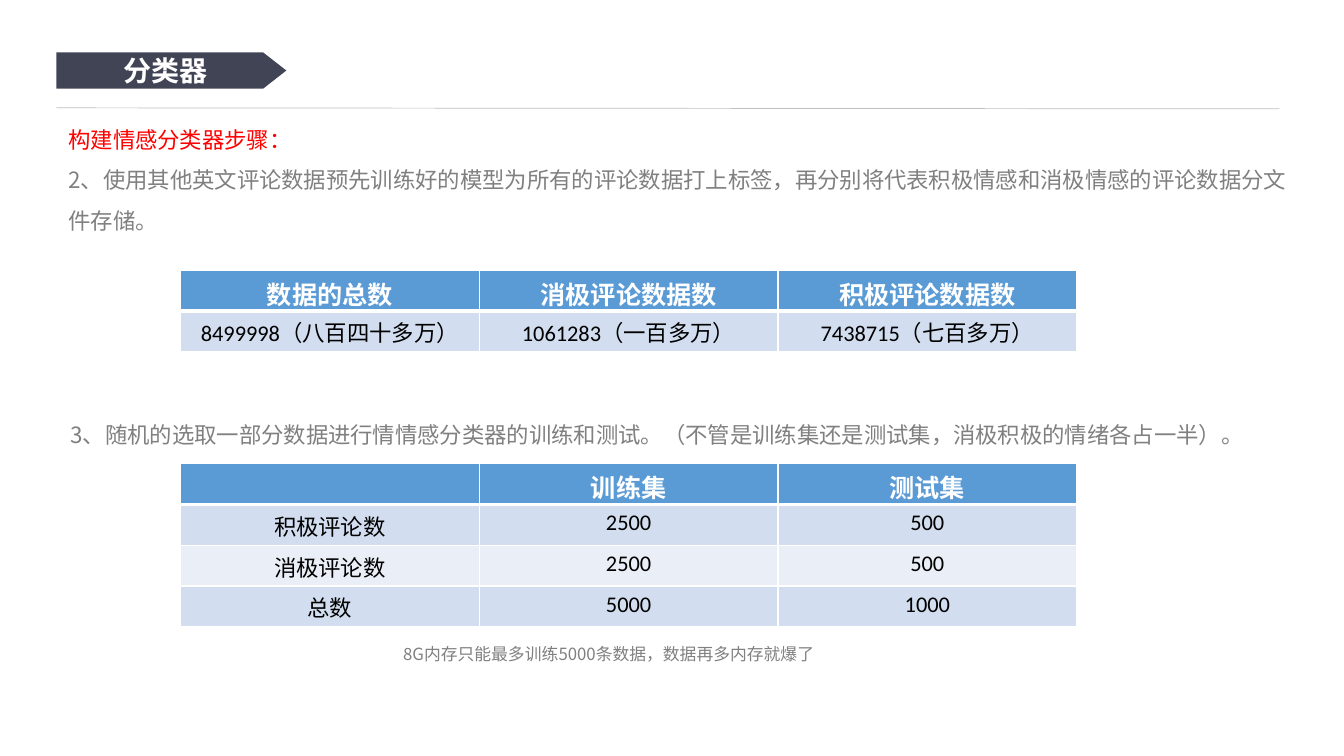
import pptx
import pptx.util
import pptx.oxml
import pptx.oxml.ns
import pptx.dml.color
import pptx.enum.shapes
import pptx.enum.text

Inches, Pt = pptx.util.Inches, pptx.util.Pt
RGBColor = pptx.dml.color.RGBColor
qn = pptx.oxml.ns.qn
PP_ALIGN = pptx.enum.text.PP_ALIGN
MSO_ANCHOR = pptx.enum.text.MSO_ANCHOR
MSO_AUTO_SIZE = pptx.enum.text.MSO_AUTO_SIZE

TITLE = "分类器"
NOTES = [
    ((0.58, 1.07, 12.45, 1.27), 16, [
        ("构建情感分类器步骤：", True),
        ("2、使用其他英文评论数据预先训练好的模型为所有的评论数据打上标签，再分别将代表积极情感和消极情感的评论数据分文件存储。", False),
    ]),
    ((0.6, 4, 12.45, 0.46), 16, [
        ("3、随机的选取一部分数据进行情情感分类器的训练和测试。（不管是训练集还是测试集，消极积极的情绪各占一半）。", False),
    ]),
    ((3.9, 6.24, 6.09, 0.37), 12, [
        ("8G内存只能最多训练5000条数据，数据再多内存就爆了", False),
    ]),
]
TABLES = [
    (2.68, [
        ("数据的总数", "消极评论数据数", "积极评论数据数"),
        ("8499998（八百四十多万）", "1061283（一百多万）", "7438715（七百多万）"),
    ]),
    (4.6, [
        ("", "训练集", "测试集"),
        ("积极评论数", "2500", "500"),
        ("消极评论数", "2500", "500"),
        ("总数", "5000", "1000"),
    ]),
]
TABLE_LEFT, TABLE_WIDTH, TWO_ROWS = 1.79, 8.89, 0.81

SANS, TABLE_FONT = "Noto Sans CJK SC", "Calibri"
WHITE = RGBColor(0xFF, 0xFF, 0xFF)
BLACK = RGBColor(0, 0, 0)
RED = RGBColor(0xFF, 0, 0)
GRAY = RGBColor(0x80, 0x80, 0x80)
RULE = RGBColor(0xBF, 0xBF, 0xBF)
SLATE = RGBColor(0x41, 0x44, 0x55)
HEADER = RGBColor(0x5B, 0x9B, 0xD5)
BANDS = RGBColor(0xEA, 0xEF, 0xF7), RGBColor(0xD2, 0xDE, 0xEF)


def add_run(p, text, size, font, color, bold=False):
    r = p.add_run()
    r.text = text
    r.font.size, r.font.name, r.font.bold = Pt(size), font, bold
    r.font.color.rgb = color
    if font == SANS:
        ea = pptx.oxml.parse_xml(f'<a:ea {pptx.oxml.ns.nsdecls("a")} typeface="{font}"/>')
        r.font._element.find(qn("a:latin")).addnext(ea)


def add_borders(cell, bottom):
    tc_pr = cell._tc.get_or_add_tcPr()
    for i, (side, width) in enumerate((("L", 1), ("R", 1), ("T", 1), ("B", bottom))):
        tc_pr.insert(i, pptx.oxml.parse_xml(
            f'<a:ln{side} {pptx.oxml.ns.nsdecls("a")} w="{Pt(width)}">'
            f'<a:solidFill><a:srgbClr val="{WHITE}"/></a:solidFill></a:ln{side}>'))


def add_heading(s):
    plate = s.shapes.add_shape(pptx.enum.shapes.MSO_SHAPE.PENTAGON,
                               Inches(0.56), Inches(0.52), Inches(2.28), Inches(0.36))
    plate.adjustments[0] = 0.64
    plate.shadow.inherit = False
    plate.fill.solid()
    plate.fill.fore_color.rgb = SLATE
    plate.line.fill.background()

    title = s.shapes.title
    title.left, title.top = plate.left, plate.top
    title.width, title.height = Inches(2.16), plate.height
    s.shapes._spTree.append(title._element)
    tf = title.text_frame
    tf.auto_size, tf.word_wrap = MSO_AUTO_SIZE.NONE, False
    tf.vertical_anchor = MSO_ANCHOR.MIDDLE
    tf.margin_left = tf.margin_right = Inches(0.08)
    tf.margin_top = tf.margin_bottom = Inches(0.04)
    p = tf.paragraphs[0]
    p.alignment = PP_ALIGN.CENTER
    add_run(p, TITLE, 20, SANS, WHITE, True)

    rule = s.shapes.add_connector(pptx.enum.shapes.MSO_CONNECTOR.STRAIGHT,
                                  Inches(0.56), Inches(1.07), Inches(12.69), Inches(1.08))
    rule.line.color.rgb, rule.line.width = RULE, Pt(0.5)
    rule._element.spPr.append(pptx.oxml.parse_xml(f'<a:effectLst {pptx.oxml.ns.nsdecls("a")}/>'))


def add_note(s, box, size, lines):
    tf = s.shapes.add_textbox(*map(Inches, box)).text_frame
    tf.word_wrap, tf.auto_size = True, MSO_AUTO_SIZE.SHAPE_TO_FIT_TEXT
    for i, (text, highlight) in enumerate(lines):
        p = tf.add_paragraph() if i else tf.paragraphs[0]
        p.line_spacing = 1.5
        add_run(p, text, size, SANS, RED if highlight else GRAY)


def add_data_table(s, top, rows):
    height = TWO_ROWS / 2 * len(rows)
    table = s.shapes.add_table(len(rows), len(rows[0]), Inches(TABLE_LEFT), Inches(top),
                               Inches(TABLE_WIDTH), Inches(height)).table
    for i, row in enumerate(rows):
        header = i == 0
        for j, text in enumerate(row):
            cell = table.cell(i, j)
            cell.fill.solid()
            cell.fill.fore_color.rgb = HEADER if header else BANDS[i % 2]
            add_borders(cell, 3 if header else 1)
            p = cell.text_frame.paragraphs[0]
            p.alignment = PP_ALIGN.CENTER
            if text:
                add_run(p, text, 18 if header else 16, TABLE_FONT,
                        WHITE if header else BLACK, header)


def main():
    prs = pptx.Presentation()
    prs.slide_width, prs.slide_height = Inches(13.33), Inches(7.5)
    s = prs.slides.add_slide(prs.slide_layouts[5])
    add_heading(s)
    for note in NOTES:
        add_note(s, *note)
    for table in TABLES:
        add_data_table(s, *table)
    prs.save("out.pptx")


if __name__ == "__main__":
    main()
